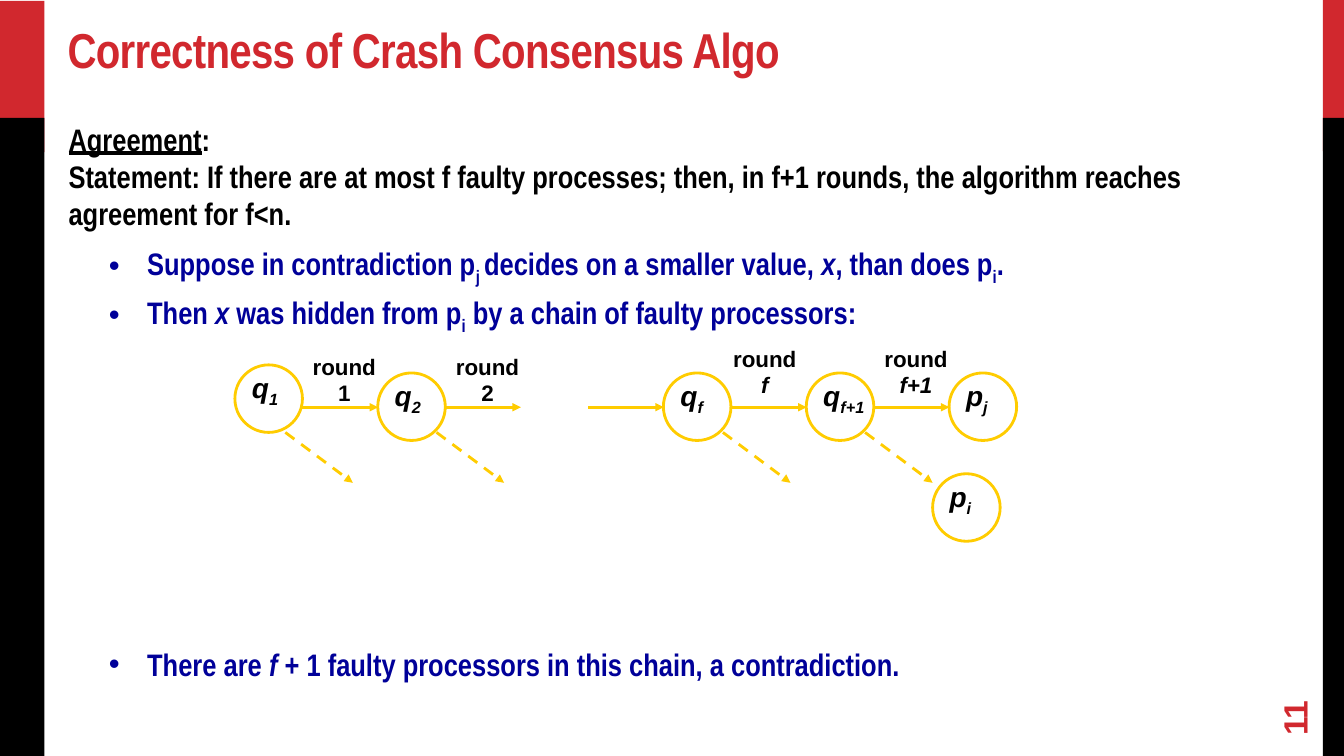
import dataclasses

import pptx
import pptx.dml.color
import pptx.enum.dml
import pptx.enum.shapes
import pptx.enum.text
import pptx.oxml.ns
import pptx.util
from lxml import etree
from pptx.util import Inches


@dataclasses.dataclass(frozen=True)
class Theme:
    """Hold the colours, fonts and type sizes of the slide."""
    red: str = "D1282E"
    black: str = "000000"
    blue: str = "000099"
    gold: str = "FFCC00"
    narrow: str = "Arial Narrow"
    sans: str = "Arial"
    title: float = 35
    body: float = 22.2
    node: float = 20
    round: float = 16
    number: float = 24


THEME = Theme()
SIDE_BARS = [(13.12, 0, 0.21, 1.5, THEME.red), (13.12, 1.17, 0.21, 6.33, THEME.black),
             (0, 0.01, 0.44, 1.5, THEME.red), (0, 1.17, 0.44, 6.33, THEME.black)]
BULLETS = [
    (4.4, [("Suppose in contradiction p", ""), ("j ", "s"), ("decides on a smaller value, ", ""),
           ("x", "i"), (", than does p", ""), ("i", "s"), (".", "")]),
    (4.4, [("Then ", ""), ("x", "i"), (" was hidden from p", ""), ("i", "s"),
           (" by a chain of faulty processors:", "")]),
    (221, [("There are ", ""), ("f ", "i"),
           ("+ 1 faulty processors in this chain, a contradiction.", "")]),
]
CHAIN_LEFT, CHAIN_PITCH, CHAIN_AXIS = 2.33, 17 / 12, 4.04
NODE_SIZE, ARROW_LENGTH = 0.67, 0.75
NODES = [(0, 3.62, "q", "1", 0.48), (1, 3.7, "q", "2", 0.48), (3, 3.7, "q", "f", 0.44),
         (4, 3.7, "q", "f+1", 0.65), (5, 3.7, "p", "j", 0.43)]
ROUNDS = [(3, 3.45, "1", ""), (4.42, 3.45, "2", ""), (7.17, 3.37, "f", "i"), (8.67, 3.37, "f+1", "i")]
LOST_MESSAGES = [2.83, 4.33, 7.17, 8.58]


def rgb(value):
    """Turn a hex string into a colour."""
    return pptx.dml.color.RGBColor.from_string(value)


def style_span(span, font, size, color, marks=""):
    """Format a bold run; marks are i italic, s subscript, u underline."""
    span.font.name, span.font.size, span.font.bold = font, pptx.util.Pt(size), True
    span.font.color.rgb = rgb(color)
    span.font.italic = "i" in marks
    span.font.underline = "u" in marks
    if "s" in marks:
        span.font._element.set("baseline", "-25000")


def add_span(para, text, font, size, color, marks=""):
    """Append a formatted run to a paragraph."""
    span = para.add_run()
    span.text = text
    style_span(span, font, size, color, marks)


def set_bullet(para, color=None, margin=0, indent=0):
    """Set the paragraph's indents and its bullet, or none without a colour."""
    props = para._p.get_or_add_pPr()
    props.set("marL", str(Inches(margin)))
    props.set("indent", str(Inches(indent)))
    qn = pptx.oxml.ns.qn
    if color is None:
        etree.SubElement(props, qn("a:buNone"))
        return
    holder = etree.SubElement(props, qn("a:buClr"))
    etree.SubElement(holder, qn("a:srgbClr"), val=color)
    etree.SubElement(props, qn("a:buFont"), typeface="Arial")
    etree.SubElement(props, qn("a:buChar"), char="\u2022")


def place(shape, left, top, width, height):
    """Move and size a shape in inches."""
    shape.left, shape.top = Inches(left), Inches(top)
    shape.width, shape.height = Inches(width), Inches(height)


def set_frame(frame, anchor):
    """Give a text frame the slide's insets, wrapping and anchor."""
    frame.auto_size = pptx.enum.text.MSO_AUTO_SIZE.NONE
    frame.word_wrap = True
    frame.vertical_anchor = anchor
    frame.margin_left = frame.margin_right = Inches(0.11)
    frame.margin_top = frame.margin_bottom = Inches(0.06)


def add_preset(page, kind, left, top, width, height, fill=None, line=None):
    """Add a preset shape with an optional fill and outline."""
    shape = page.shapes.add_shape(kind, *map(Inches, (left, top, width, height)))
    shape.shadow.inherit = False
    if fill:
        shape.fill.solid()
        shape.fill.fore_color.rgb = rgb(fill)
    else:
        shape.fill.background()
    if line:
        shape.line.color.rgb = rgb(line)
        shape.line.width = pptx.util.Pt(2)
    else:
        shape.line.fill.background()


def add_label(page, left, top, width, height):
    """Add an unwrapped text box and return its text frame."""
    frame = page.shapes.add_textbox(*map(Inches, (left, top, width, height))).text_frame
    frame.word_wrap = False
    return frame


def add_node(page, left, top, letter, index, label_width):
    """Add a process circle with its indexed name."""
    add_preset(page, pptx.enum.shapes.MSO_SHAPE.OVAL, left, top, NODE_SIZE, NODE_SIZE, line=THEME.gold)
    para = add_label(page, left + 0.07, top + 0.01, label_width, 0.44).paragraphs[0]
    add_span(para, letter, THEME.sans, THEME.node, THEME.black, "i")
    add_span(para, index, THEME.sans, THEME.node, THEME.black, "is")


def add_arrow(page, start, end, dashed=False):
    """Add a gold arrow, dashed for a lost message."""
    points = map(Inches, (*start, *end))
    arrow = page.shapes.add_connector(pptx.enum.shapes.MSO_CONNECTOR.STRAIGHT, *points)
    arrow.line.color.rgb = rgb(THEME.gold)
    arrow.line.width = pptx.util.Pt(2)
    if dashed:
        arrow.line.dash_style = pptx.enum.dml.MSO_LINE.DASH
    qn = pptx.oxml.ns.qn
    etree.SubElement(arrow.line._get_or_add_ln(), qn("a:tailEnd"), type="triangle")
    etree.SubElement(arrow._element.spPr, qn("a:effectLst"))


def add_round(page, left, top, number, marks):
    """Add a two-line round label above an arrow."""
    frame = add_label(page, left, top, 0.83, 0.64)
    frame.text = f"round\n{number}"
    for para, style in zip(frame.paragraphs, ("", marks)):
        para.alignment = pptx.enum.text.PP_ALIGN.CENTER
        style_span(para.runs[0], THEME.sans, THEME.round, THEME.black, style)


def fill_title(title):
    """Write the slide title."""
    place(title, 0.56, 0.17, 12.44, 0.67)
    frame = title.text_frame
    set_frame(frame, pptx.enum.text.MSO_ANCHOR.BOTTOM)
    frame.text = "Correctness of Crash Consensus Algo"
    para = frame.paragraphs[0]
    para.alignment = pptx.enum.text.PP_ALIGN.LEFT
    style_span(para.runs[0], THEME.narrow, THEME.title, THEME.red)
    para.runs[0].font._element.set("spc", "-50")


def fill_body(body):
    """Write the agreement statement and the bullets of its proof."""
    place(body, 0.57, 1.13, 12.22, 5.53)
    frame = body.text_frame
    set_frame(frame, pptx.enum.text.MSO_ANCHOR.TOP)
    para = frame.paragraphs[0]
    para.space_before, para.space_after = pptx.util.Pt(4.4), pptx.util.Pt(4.9)
    set_bullet(para)
    look = (THEME.narrow, THEME.body, THEME.black)
    add_span(para, "Agreement", *look, "u")
    add_span(para, ":", *look)
    para.add_line_break()
    add_span(para, "Statement: If there are at most f faulty processes; then, in f+1 rounds, "
                   "the algorithm reaches agreement for f<n.", *look)
    for gap, spans in BULLETS:
        para = frame.add_paragraph()
        para.level = 1
        para.space_before, para.space_after = pptx.util.Pt(gap), pptx.util.Pt(0)
        set_bullet(para, THEME.blue, 0.78, -0.38)
        for text, marks in spans:
            add_span(para, text, THEME.narrow, THEME.body, THEME.blue, marks)


def draw_chain(page):
    """Draw the chain of faulty processors."""
    for column, top, letter, index, label_width in NODES:
        add_node(page, CHAIN_LEFT + CHAIN_PITCH * column, top, letter, index, label_width)
    add_node(page, 9.25, 4.7, "p", "i", 0.43)
    for column in range(5):
        start = CHAIN_LEFT + CHAIN_PITCH * column + NODE_SIZE
        add_arrow(page, (start, CHAIN_AXIS), (start + ARROW_LENGTH, CHAIN_AXIS))
    for left in LOST_MESSAGES:
        add_arrow(page, (left, 4.29), (left + 0.67, 4.79), dashed=True)
    for label in ROUNDS:
        add_round(page, *label)


def add_page_number(page):
    """Add the page number, turned to read upwards."""
    box = page.shapes.add_textbox(*map(Inches, (12.45, 6.86, 0.77, 0.33)))
    box.rotation = 270
    set_frame(box.text_frame, pptx.enum.text.MSO_ANCHOR.MIDDLE)
    box.text_frame.text = "11"
    style_span(box.text_frame.paragraphs[0].runs[0], THEME.sans, THEME.number, THEME.red)


def main():
    """Build and save the slide."""
    deck = pptx.Presentation()
    deck.slide_width, deck.slide_height = Inches(13.33), Inches(7.5)
    page = deck.slides.add_slide(deck.slide_layouts[1])
    for *bounds, color in SIDE_BARS:
        add_preset(page, pptx.enum.shapes.MSO_SHAPE.RECTANGLE, *bounds, fill=color)
    fill_title(page.shapes.title)
    fill_body(page.placeholders[1])
    draw_chain(page)
    add_page_number(page)
    deck.save("out.pptx")


main()
